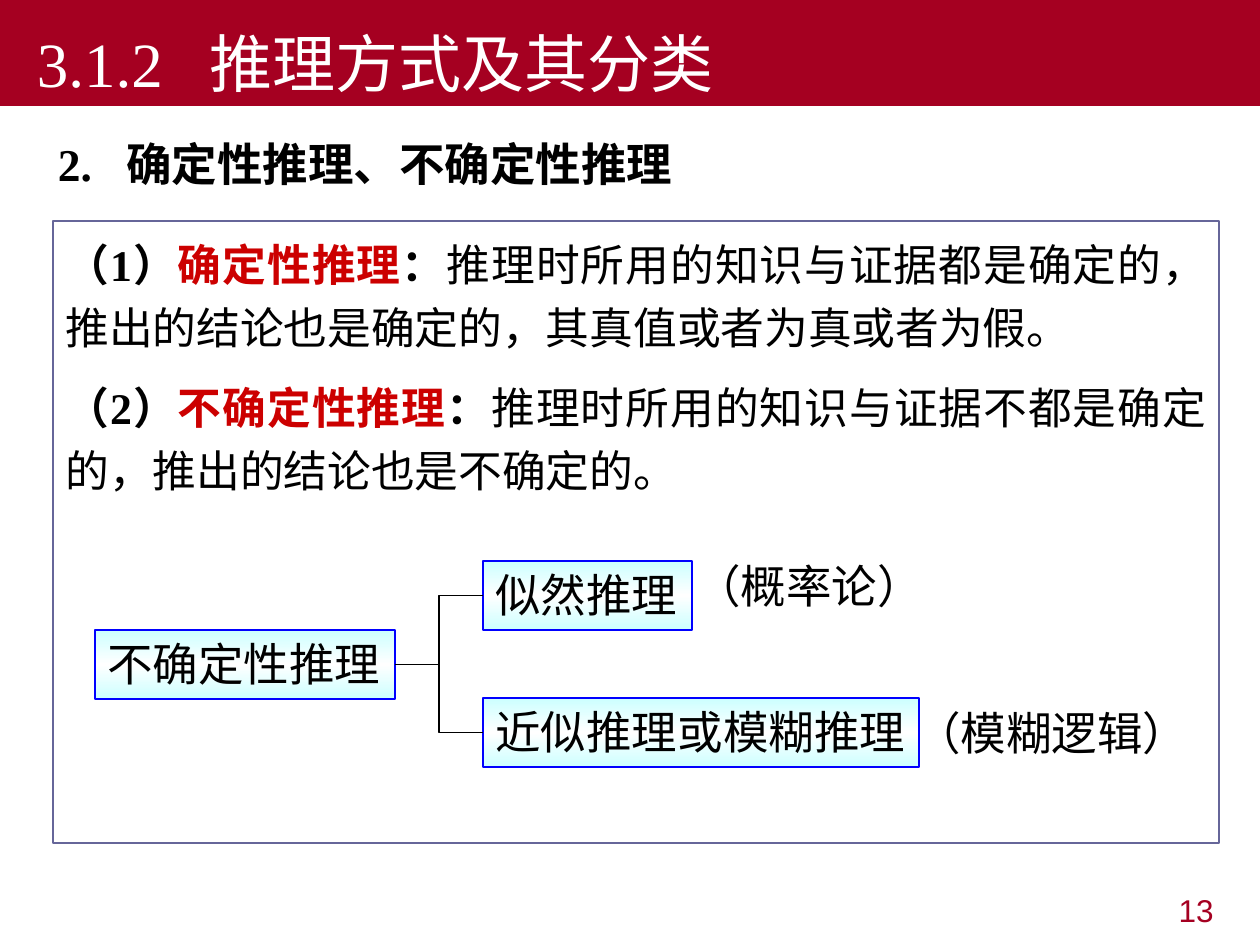
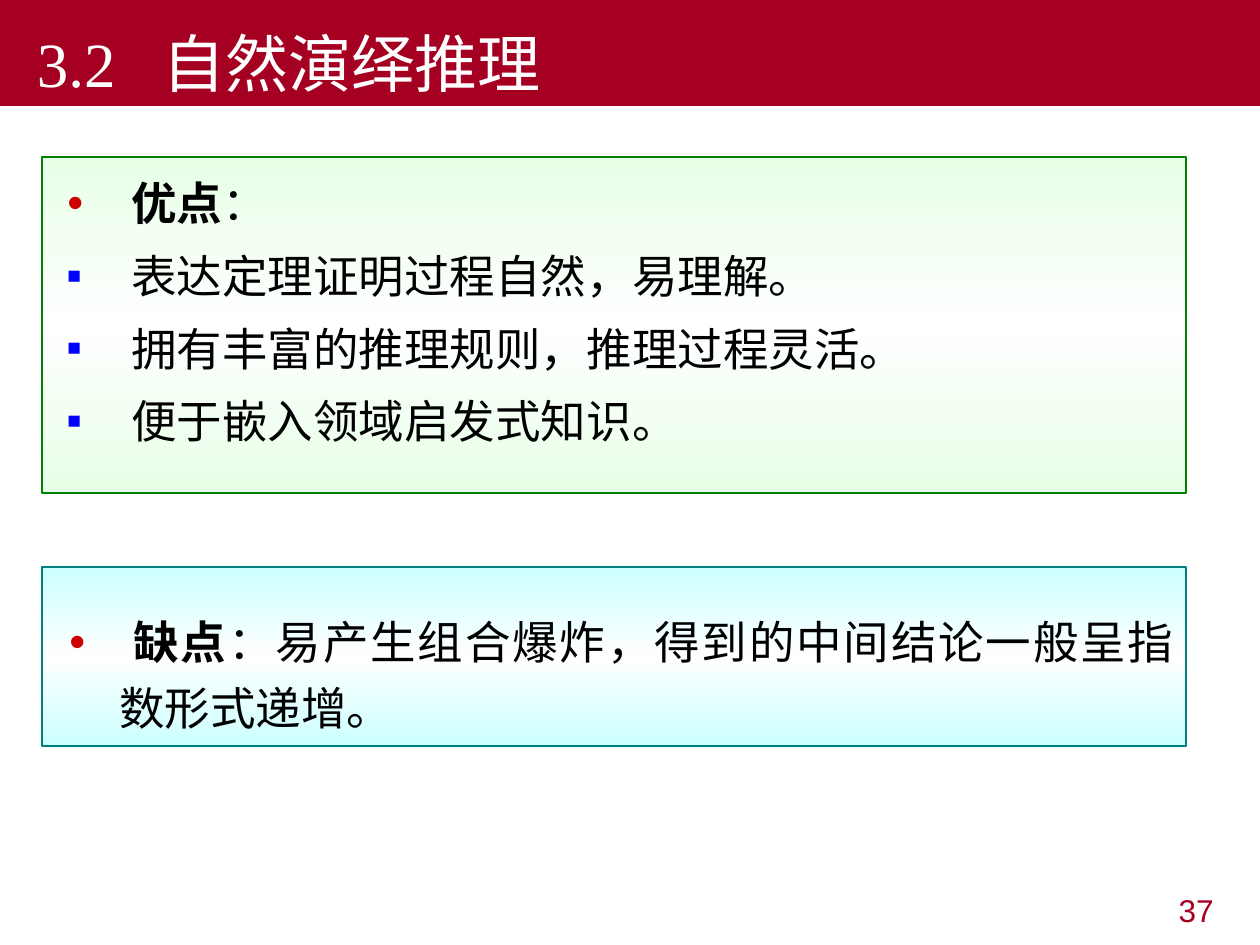
from copy import deepcopy
from lxml import etree
from pptx import Presentation
from pptx.dml.color import RGBColor
from pptx.enum.shapes import MSO_CONNECTOR, MSO_SHAPE
from pptx.enum.text import MSO_ANCHOR, PP_ALIGN
from pptx.oxml.ns import qn
from pptx.util import Pt

PX = 914400 / 126
SERIF, SANS = "Times New Roman", "Arial"
COLORS = {
    "band": "A50021", "white": "FFFFFF", "black": "000000", "red": "CC0000",
    "blue": "0000FF", "slate": "666699", "green": "008000", "teal": "008080",
    "mint": "E7FFE7", "aqua": "CCFFFF",
}
COLORS = {name: RGBColor.from_string(value) for name, value in COLORS.items()}


def add_box(page, place, fill=None, edge=None, glow=None):
    left, top, width, height = (round(value * PX) for value in place)
    if not (fill or edge):
        box = page.shapes.add_textbox(left, top, width, height)
    else:
        box = page.shapes.add_shape(MSO_SHAPE.RECTANGLE, left, top, width, height)
        box.shadow.inherit = False
        box.fill.background()
        box.line.fill.background()
    if fill:
        box.fill.solid()
        box.fill.fore_color.rgb = COLORS[fill]
    if glow:
        box.fill.gradient()
        box.fill.gradient_angle = 90
        for stop in box.fill.gradient_stops:
            stop.color.rgb = COLORS[glow]
        stops = box._element.spPr.find(qn("a:gradFill")).find(qn("a:gsLst"))
        stops.insert(1, deepcopy(stops[0]))
        middle = box.fill.gradient_stops[1]
        middle.position = 0.5
        middle.color.rgb = COLORS["white"]
    if edge:
        box.line.color.rgb = COLORS[edge]
        box.line.width = Pt(0.75)
    box.text_frame.word_wrap = True
    box.text_frame.vertical_anchor = MSO_ANCHOR.TOP
    return box


def add_para(box, spans, size=26, font=SANS, align=PP_ALIGN.LEFT, spacing=None,
             before=0, hang=0, bullet=None, tab=None):
    frame = box.text_frame
    para = frame.paragraphs[0]
    first = not para.runs
    if not first:
        para = frame.add_paragraph()
    props = para._p.get_or_add_pPr()
    if bullet:
        mark, color, percent = bullet
        props.set("marL", str(round(hang * PX)))
        props.set("indent", str(-round(hang * PX)))
        tint = etree.SubElement(props, qn("a:buClr"))
        etree.SubElement(tint, qn("a:srgbClr"), val=str(COLORS[color]))
        etree.SubElement(props, qn("a:buSzPct"), val=str(percent * 1000))
        etree.SubElement(props, qn("a:buFont"), typeface=SANS)
        etree.SubElement(props, qn("a:buChar"), char=mark)
    if tab:
        tabs = etree.SubElement(props, qn("a:tabLst"))
        etree.SubElement(tabs, qn("a:tab"), pos=str(round(tab * PX)), algn="l")
    para.alignment = align
    if spacing:
        para.line_spacing = spacing
    if before and not first:
        para.space_before = Pt(before)
    for text, color, bold in spans:
        span = para.add_run()
        span.text = text
        span.font.name = font
        span.font.size = Pt(size)
        span.font.bold = bold
        span.font.color.rgb = COLORS[color]


deck = Presentation()
deck.slide_width = round(1260 * PX)
deck.slide_height = round(945 * PX)

pages = []
for title, title_tab, number in [
    ("3.1.2\t推理方式及其分类", 173, "13"),
    ("3.2\t自然演绎推理", 126, "37"),
]:
    page = deck.slides.add_slide(deck.slide_layouts[6])
    band = add_box(page, (0, 0, 1260, 106), fill="band")
    band.text_frame.vertical_anchor = MSO_ANCHOR.BOTTOM
    band.text_frame.margin_left = round(37 * PX)
    add_para(band, [(title, "white", False)], size=36, font=SERIF, tab=title_tab)
    footer = add_box(page, (932, 885, 294, 66))
    add_para(footer, [(number, "band", False)], size=18, align=PP_ALIGN.RIGHT)
    pages.append(page)
kinds_page, natural_page = pages

heading = add_box(kinds_page, (34, 136, 1191, 74))
heading.text_frame.margin_left = round(24 * PX)
add_para(heading, [("2.\t确定性推理、不确定性推理", "black", True)],
         font=SERIF, spacing=0.9, tab=68)

definitions = add_box(kinds_page, (53, 221, 1166, 622), edge="slate")
for index, term, meaning in [
    ("（1）", "确定性推理", "推理时所用的知识与证据都是确定的，推出的结论也是确定的，其真值或者为真或者为假。"),
    ("（2）", "不确定性推理", "推理时所用的知识与证据不都是确定的，推出的结论也是不确定的。"),
]:
    add_para(definitions,
             [(index, "black", True), (term, "red", True),
              ("：", "black", True), (meaning, "black", False)],
             size=25, font=SERIF, align=PP_ALIGN.JUSTIFY, spacing=1.2, before=10)

nodes = []
for text, left, top, width in [
    ("不确定性推理", 95, 630, 300),
    ("似然推理", 483, 561, 209),
    ("近似推理或模糊推理", 483, 698, 436),
]:
    node = add_box(kinds_page, (left, top, width, 69), edge="blue", glow="aqua")
    node.text_frame.word_wrap = False
    add_para(node, [(text, "black", False)])
    nodes.append(node)

root, *branches = nodes
for branch in branches:
    link = kinds_page.shapes.add_connector(MSO_CONNECTOR.ELBOW, 0, 0, 0, 0)
    link.begin_connect(root, 3)
    link.end_connect(branch, 1)
    link.line.color.rgb = COLORS["black"]
    link.line.width = Pt(0.75)
    etree.SubElement(link._element.spPr, qn("a:effectLst"))

for text, left, top, width in [("（概率论）", 683, 552, 253), ("（模糊逻辑）", 903, 699, 299)]:
    theory = add_box(kinds_page, (left, top, width, 67))
    theory.text_frame.word_wrap = False
    add_para(theory, [(text, "black", False)])

add_box(natural_page, (42, 157, 1144, 336), edge="green", glow="mint")
add_box(natural_page, (42, 567, 1144, 179), edge="teal", glow="aqua")

strengths = add_box(natural_page, (55, 169, 1120, 292))
add_para(strengths, [("优点", "black", True), ("：", "black", False)],
         hang=64, bullet=("•", "red", 100))
for point in [
    "表达定理证明过程自然，易理解。",
    "拥有丰富的推理规则，推理过程灵活。",
    "便于嵌入领域启发式知识。",
]:
    add_para(strengths, [(point, "black", False)], before=10.4,
             hang=64, bullet=("■", "blue", 50))

weakness = add_box(natural_page, (57, 597, 1130, 144))
add_para(weakness,
         [(" 缺点", "black", True),
          ("：易产生组合爆炸，得到的中间结论一般呈指数形式递增。", "black", False)],
         align=PP_ALIGN.JUSTIFY, spacing=1.2, hang=50, bullet=("•", "red", 100))

deck.save("out.pptx")
